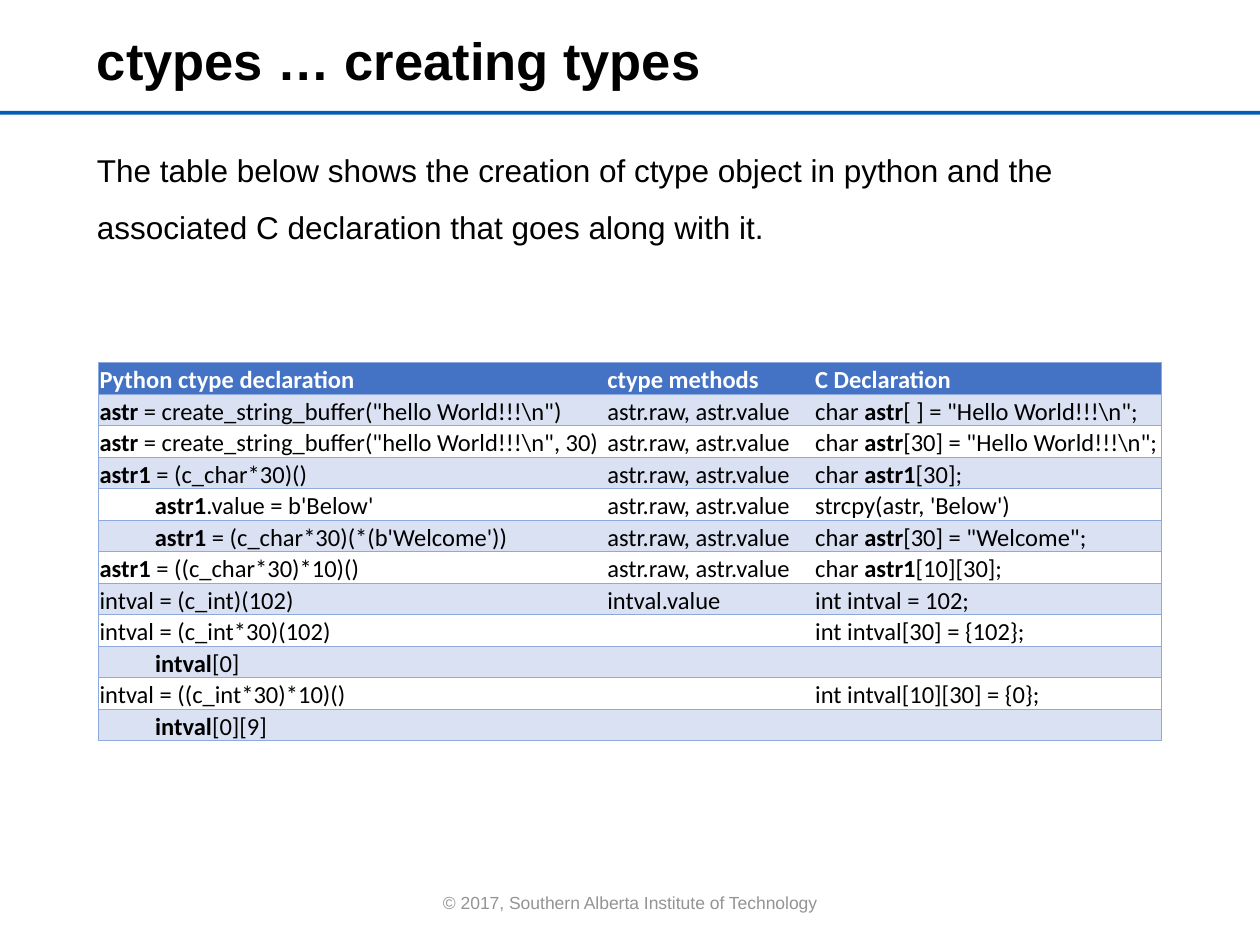
from lxml import etree
from pptx import Presentation
from pptx import util as u
from pptx.dml.color import RGBColor
from pptx.enum import shapes, text
from pptx.oxml.ns import qn

WIDTH, HEIGHT = 10, 7.5
ROW_HEIGHT = 0.25
COLUMN_WIDTHS = (4.03, 1.65, 2.76)
BLACK, WHITE, GREY = "000000", "FFFFFF", "949494"
RULE_BLUE, HEADER_BLUE, BAND_BLUE, BORDER_BLUE = "005EB8", "4472C4", "D9E1F2", "8EA9DB"
STRING_METHODS = "astr.raw, astr.value"
INDENT = "          "

HEADER = ("|Python ctype declaration", "|ctype methods", "|C Declaration")
DECLARATIONS = (
    ('|astr| = create_string_buffer("hello World!!!\\n")', STRING_METHODS, 'char |astr|[ ] = "Hello World!!!\\n";'),
    ('|astr| = create_string_buffer("hello World!!!\\n", 30)', STRING_METHODS, 'char |astr|[30] = "Hello World!!!\\n";'),
    ("|astr1| = (c_char*30)()", STRING_METHODS, "char |astr1|[30];"),
    (f"|{INDENT}astr1|.value = b'Below'", STRING_METHODS, "strcpy(astr, 'Below')"),
    (f"|{INDENT}astr1| = (c_char*30)(*(b'Welcome'))", STRING_METHODS, 'char |astr|[30] = "Welcome";'),
    ("|astr1| = ((c_char*30)*10)()", STRING_METHODS, "char |astr1|[10][30];"),
    ("intval = (c_int)(102)", "intval.value", "int intval = 102;"),
    ("intval = (c_int*30)(102)", "", "int intval[30] = {102};"),
    (f"{INDENT}|intval|[0]", "", ""),
    ("intval = ((c_int*30)*10)()", "", "int intval[10][30] = {0};"),
    (f"{INDENT}|intval|[0][9]", "", ""),
)


def paint(target, colour):
    """Give a fill a solid colour from a hex string."""
    target.solid()
    target.fore_color.rgb = RGBColor.from_string(colour)


def add_runs(paragraph, marked, font, size, colour):
    """Add text run by run, with bold toggled by each vertical bar."""
    for index, piece in enumerate(marked.split("|")):
        if piece:
            run = paragraph.add_run()
            run.text = piece
            run.font.name, run.font.size = font, u.Pt(size)
            run.font.bold = index % 2 == 1
            paint(run.font.fill, colour)


def add_rule(slide):
    """Draw the full-width rule under the title."""
    rule = slide.shapes.add_shape(
        shapes.MSO_SHAPE.RECTANGLE, 0, u.Inches(0.88), u.Inches(WIDTH), u.Inches(0.03))
    rule.shadow.inherit = False
    paint(rule.fill, RULE_BLUE)
    rule.line.fill.background()


def add_text(slide, box, marked, size, colour=BLACK, align=text.PP_ALIGN.LEFT, spacing=1.0):
    """Add a wrapped Arial text box with one paragraph."""
    frame = slide.shapes.add_textbox(*map(u.Inches, box)).text_frame
    frame.word_wrap = True
    paragraph = frame.paragraphs[0]
    paragraph.alignment, paragraph.line_spacing = align, spacing
    add_runs(paragraph, marked, "Arial", size, colour)


def set_borders(cell, visible):
    """Draw the visible sides of a cell and clear the others."""
    properties = cell._tc.get_or_add_tcPr()
    for index, side in enumerate("LRTB"):
        line = etree.Element(qn(f"a:ln{side}"), w=str(u.Pt(0.5)))
        if side in visible:
            fill = etree.SubElement(line, qn("a:solidFill"))
            etree.SubElement(fill, qn("a:srgbClr"), val=BORDER_BLUE)
        else:
            etree.SubElement(line, qn("a:noFill"))
        properties.insert(index, line)


def fill_cell(cell, marked, fill, colour, borders):
    """Set the text, fill and borders of one table cell."""
    cell.margin_left = cell.margin_right = cell.margin_top = u.Inches(0.01)
    cell.margin_bottom = 0
    cell.vertical_anchor = text.MSO_ANCHOR.BOTTOM
    paragraph = cell.text_frame.paragraphs[0]
    paragraph.line_spacing = 0.93
    add_runs(paragraph, marked, "Calibri", 14, colour)
    if not marked:
        paragraph._p.get_or_add_endParaRPr().set("sz", "1400")
    paint(cell.fill, fill)
    set_borders(cell, borders)


def add_declaration_table(slide):
    """Add the banded table of Python and C declarations."""
    rows = (HEADER,) + DECLARATIONS
    box = (0.78, 2.88, sum(COLUMN_WIDTHS), ROW_HEIGHT * len(rows))
    table = slide.shapes.add_table(len(rows), len(COLUMN_WIDTHS), *map(u.Inches, box)).table
    table.first_row = table.horz_banding = False
    for column, width in zip(table.columns, COLUMN_WIDTHS):
        column.width = u.Inches(width)
    for row_index, row in enumerate(rows):
        table.rows[row_index].height = u.Inches(ROW_HEIGHT)
        band = BAND_BLUE if row_index % 2 else WHITE
        fill, colour = (band, BLACK) if row_index else (HEADER_BLUE, WHITE)
        for column_index, (marked, borders) in enumerate(zip(row, ("LTB", "TB", "RTB"))):
            fill_cell(table.cell(row_index, column_index), marked, fill, colour, borders)


def main():
    """Build and save the slide."""
    presentation = Presentation()
    presentation.slide_width, presentation.slide_height = u.Inches(WIDTH), u.Inches(HEIGHT)
    slide = presentation.slides.add_slide(presentation.slide_layouts[6])
    add_rule(slide)
    add_text(slide, (3.32, 7.03, 3.36, 0.26), "© 2017, Southern Alberta Institute of Technology",
             10, GREY, text.PP_ALIGN.CENTER)
    add_text(slide, (0.67, 0.17, 7.32, 0.74), "|ctypes … creating types", 30)
    add_text(slide, (0.67, 1, 8.41, 0.95),
             "The table below shows the creation of ctype object in python and the "
             "associated C declaration that goes along with it.", 18, spacing=1.5)
    add_declaration_table(slide)
    presentation.save("out.pptx")


if __name__ == "__main__":
    main()
